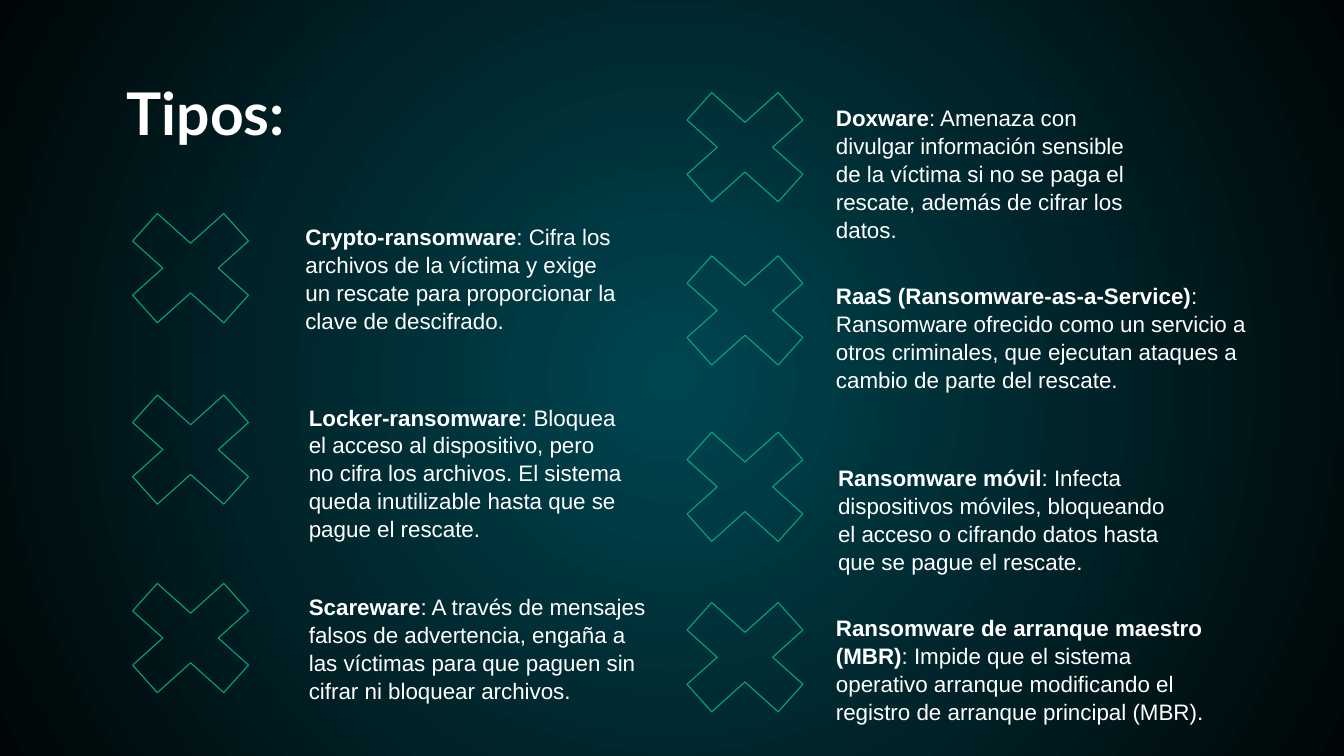
from lxml import etree
from pptx import Presentation
from pptx.dml.color import RGBColor
from pptx.enum.shapes import MSO_SHAPE
from pptx.enum.text import MSO_ANCHOR, PP_ALIGN
from pptx.oxml.ns import qn
from pptx.util import Pt

CROSS = MSO_SHAPE.MATH_MULTIPLY
TOP = MSO_ANCHOR.TOP
LEFT = PP_ALIGN.LEFT

THEME = {
    "center": RGBColor.from_string("004651"),
    "edge": RGBColor.from_string("000607"),
    "accent": RGBColor.from_string("00AB8D"),
    "text": RGBColor.from_string("FFFFFF"),
    "title_font": "Lato",
    "body_font": "Arial",
    "title_size": Pt(42),
    "body_size": Pt(16),
}

presentation = Presentation()
presentation.slide_width = Pt(960)
presentation.slide_height = Pt(540)
slide = presentation.slides.add_slide(presentation.slide_layouts[6])

background = slide.background.fill
background.gradient()
for stop, color in zip(background.gradient_stops, (THEME["center"], THEME["edge"])):
    stop.color.rgb = color
gradient = slide.element.find(".//" + qn("a:gradFill"))
gradient.remove(gradient.find(qn("a:lin")))
circle = etree.SubElement(gradient, qn("a:path"), path="circle")
etree.SubElement(circle, qn("a:fillToRect"), l="50000", t="50000", r="50000", b="50000")


def add_text(strong, rest="", *, left, top, width, height, font, size, inset, spacing=1.0):
    box = slide.shapes.add_textbox(Pt(left), Pt(top), Pt(width), Pt(height))
    frame = box.text_frame
    frame.word_wrap = True
    frame.vertical_anchor = TOP
    frame.margin_left = frame.margin_right = Pt(inset)
    frame.margin_top = frame.margin_bottom = Pt(inset)
    paragraph = frame.paragraphs[0]
    paragraph.alignment = LEFT
    paragraph.line_spacing = spacing
    for text, bold in ((strong, True), (rest, False)):
        if text:
            run = paragraph.add_run()
            run.text = text
            run.font.name = font
            run.font.size = size
            run.font.bold = bold
            run.font.color.rgb = THEME["text"]


add_text("Tipos:", left=83.5, top=47.5, width=289.5, height=57.6,
         font=THEME["title_font"], size=THEME["title_size"], inset=7.2)

LEFT_CROSS, RIGHT_CROSS = 73.5, 469.5
threats = [
    (LEFT_CROSS, 135.4, 208.5, 149, 245,
     "Crypto-ransomware",
     ": Cifra los archivos de la víctima y exige un rescate para proporcionar la clave de descifrado."),
    (LEFT_CROSS, 265, 211, 278, 244,
     "Locker-ransomware",
     ": Bloquea el acceso al dispositivo, pero no cifra los archivos. "
     "El sistema queda inutilizable hasta que se pague el rescate."),
    (LEFT_CROSS, 399.6, 211, 413.3, 269.3,
     "Scareware",
     ": A través de mensajes falsos de advertencia, engaña a las víctimas "
     "para que paguen sin cifrar ni bloquear archivos."),
    (RIGHT_CROSS, 49, 587.5, 64, 230.4,
     "Doxware",
     ": Amenaza con divulgar información sensible de la víctima si no se paga el rescate, "
     "además de cifrar los datos."),
    (RIGHT_CROSS, 165.6, 587.5, 191, 320.4,
     "RaaS (Ransomware-as-a-Service)",
     ": Ransomware ofrecido como un servicio a otros criminales, "
     "que ejecutan ataques a cambio de parte del rescate."),
    (RIGHT_CROSS, 291.6, 589, 321, 264.2,
     "Ransomware móvil",
     ": Infecta dispositivos móviles, bloqueando el acceso o cifrando datos "
     "hasta que se pague el rescate."),
    (RIGHT_CROSS, 413.3, 587.5, 428.4, 299.5,
     "Ransomware de arranque maestro (MBR)",
     ": Impide que el sistema operativo arranque modificando el registro de arranque principal (MBR)."),
]

for cross_left, cross_top, text_left, text_top, text_width, name, description in threats:
    cross = slide.shapes.add_shape(CROSS, Pt(cross_left), Pt(cross_top), Pt(125.3), Pt(112.3))
    cross.shadow.inherit = False
    cross.fill.background()
    cross.line.color.rgb = THEME["accent"]
    cross.line.width = Pt(0.75)
    add_text(name, description, left=text_left, top=text_top, width=text_width, height=58,
             font=THEME["body_font"], size=THEME["body_size"], inset=9.6, spacing=1.04)

presentation.save("out.pptx")
